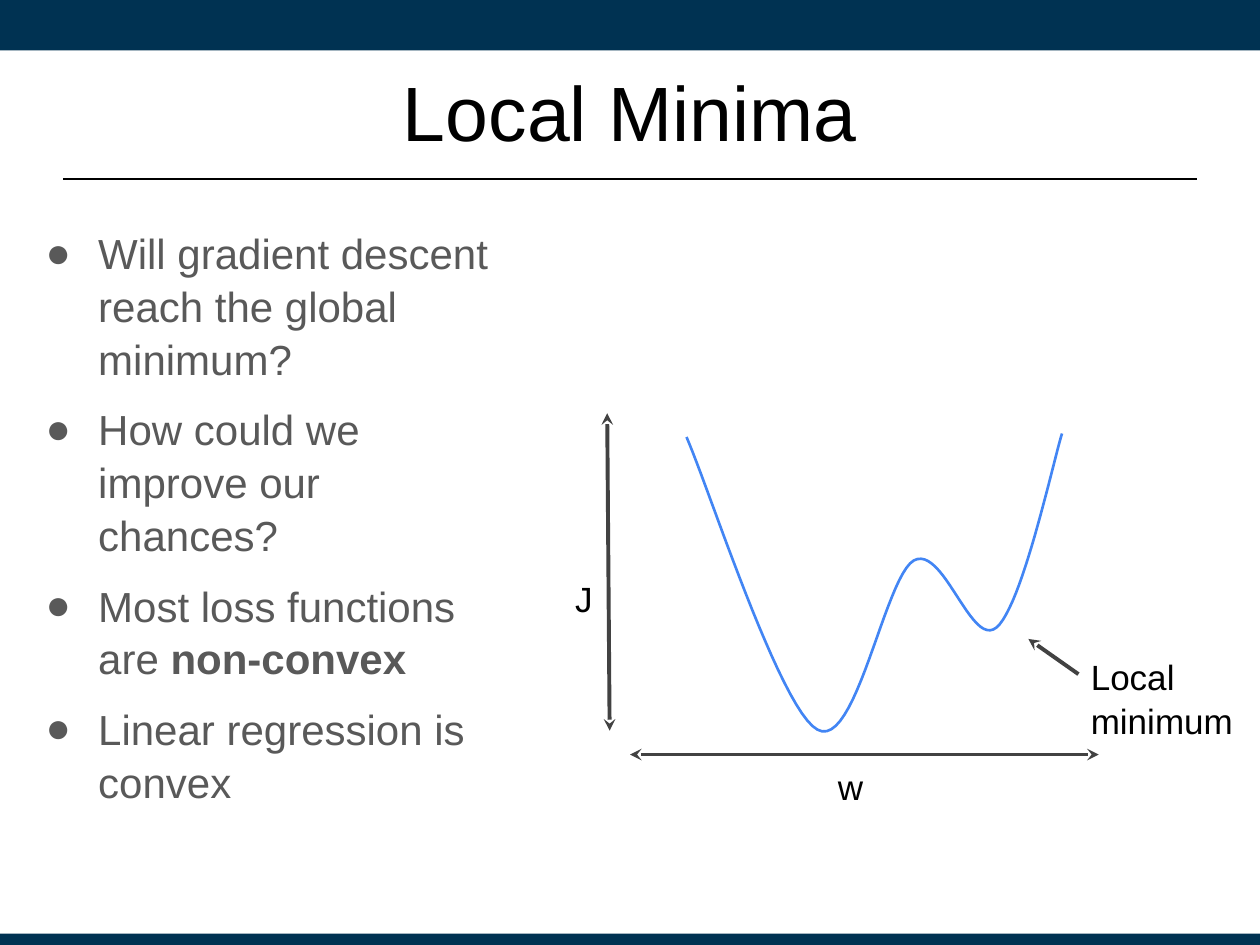
import pptx
import pptx.dml.color
import pptx.enum.shapes
import pptx.enum.text
import pptx.oxml
import pptx.oxml.ns
import pptx.util
from pptx.util import Cm

RGB = pptx.dml.color.RGBColor
ALIGN = pptx.enum.text.PP_ALIGN
ANCHOR = pptx.enum.text.MSO_ANCHOR
NAVY = RGB(0x00, 0x32, 0x52)
BLACK = RGB(0, 0, 0)
GRAY = RGB(0x59, 0x59, 0x59)
DARK = RGB(0x42, 0x42, 0x42)
BLUE = RGB(0x42, 0x85, 0xF4)
WIDE, HIGH = 25.4, 19.05
PAD = 0.25

POINTS = [
    "Will gradient descent reach the global minimum?",
    "How could we improve our chances?",
    "Most loss functions are *non-convex",
    "Linear regression is convex",
]
# Loss curve: start point, then two controls and an end for each Bezier piece
START = (2.87, 0.48)
CURVE = [
    ((3.3, 1.45), (4.75, 5.97), (5.51, 6.38)),
    ((6.28, 6.81), (6.86, 3.33), (7.45, 2.97)),
    ((8.05, 2.64), (8.61, 4.75), (9.12, 4.32)),
    ((9.63, 3.89), (10.24, 1.07), (10.44, 0.41)),
]
STEPS = 24


def add_xml(parent, tag, **attrs):
    node = pptx.oxml.parse_xml(f"<a:{tag} {pptx.oxml.ns.nsdecls('a')}/>")
    for key, value in attrs.items():
        node.set(key, value)
    parent.append(node)
    return node


def set_font(para, size, color):
    para.font.name = "Arial"
    para.font.size = pptx.util.Pt(size)
    para.font.color.rgb = color


def set_frame(frame, pad=PAD, anchor=ANCHOR.TOP):
    frame.word_wrap = True
    frame.auto_size = pptx.enum.text.MSO_AUTO_SIZE.NONE
    frame.vertical_anchor = anchor
    frame.margin_left = frame.margin_right = Cm(PAD)
    frame.margin_top = frame.margin_bottom = Cm(pad)


def place(shape, left, top, width, height):
    shape.left, shape.top = Cm(left), Cm(top)
    shape.width, shape.height = Cm(width), Cm(height)


def add_bar(slide, top, height):
    bar = slide.shapes.add_shape(pptx.enum.shapes.MSO_SHAPE.RECTANGLE,
                                 0, Cm(top), Cm(WIDE), Cm(height))
    bar.shadow.inherit = False
    bar.fill.solid()
    bar.fill.fore_color.rgb = NAVY
    bar.line.fill.background()


def add_line(slide, x1, y1, x2, y2, color, weight, ends=()):
    line = slide.shapes.add_connector(pptx.enum.shapes.MSO_CONNECTOR.STRAIGHT,
                                      Cm(x1), Cm(y1), Cm(x2), Cm(y2))
    line.line.color.rgb = color
    line.line.width = pptx.util.Pt(weight)
    for end in ends:
        add_xml(line.line._get_or_add_ln(), end, type="stealth")
    add_xml(line._element.spPr, "effectLst")


def add_label(slide, text, left, top, width, height, align):
    box = slide.shapes.add_textbox(Cm(left), Cm(top), Cm(width), Cm(height))
    set_frame(box.text_frame)
    para = box.text_frame.paragraphs[0]
    para.text = text
    para.alignment = align
    para.line_spacing = 1.05
    set_font(para, 20, BLACK)


def add_title(slide, left, top, width, height):
    title = slide.shapes.title
    place(title, left, top, width, height)
    set_frame(title.text_frame, 0.13, ANCHOR.MIDDLE)
    para = title.text_frame.paragraphs[0]
    para.text = "Local Minima"
    para.alignment = ALIGN.CENTER
    set_font(para, 44, BLACK)
    # Rule under the title
    rule = top + 2.97
    add_line(slide, left, rule, left + width, rule, BLACK, 1.25)


def add_list(slide, left, top, width, height):
    body = slide.placeholders[1]
    place(body, left, top, width, height)
    frame = body.text_frame
    set_frame(frame)
    for i, text in enumerate(POINTS):
        para = frame.add_paragraph() if i else frame.paragraphs[0]
        # Text after the star is bold
        for j, part in enumerate(text.split("*")):
            run = para.add_run()
            run.text = part
            if j:
                run.font.bold = True
        props = para._p.get_or_add_pPr()
        props.set("marL", str(Cm(1.27)))
        props.set("indent", str(Cm(-1.06)))
        add_xml(add_xml(props, "buClr"), "srgbClr", val=str(GRAY))
        add_xml(props, "buFont", typeface="Arial")
        add_xml(props, "buChar", char="●")
        para.line_spacing = 1.05
        para.space_before = pptx.util.Pt(10 if i else 0)
        para.space_after = pptx.util.Pt(0)
        set_font(para, 24, GRAY)


def bezier(a, b, c, d, t):
    u = 1 - t
    return tuple(u**3 * p + 3 * u * u * t * q + 3 * u * t * t * r + t**3 * s
                 for p, q, r, s in zip(a, b, c, d))


def add_plot(slide, left, top):
    # Axes
    both = ("headEnd", "tailEnd")
    add_line(slide, left + 1.32, top + 6.4, left + 1.27, top, DARK, 2.25, both)
    base = top + 6.88
    add_line(slide, left + 1.73, base, left + 11.18, base, DARK, 2.25, both)
    add_label(slide, "w", left + 3, top + 6.81, 6.35, 0.79, ALIGN.CENTER)
    add_label(slide, "J", left, top + 3.02, 1.6, 0.79, ALIGN.CENTER)

    # Loss curve
    dots, last = [START], START
    for one, two, end in CURVE:
        dots += [bezier(last, one, two, end, k / STEPS)
                 for k in range(1, STEPS + 1)]
        last = end
    dots = [(Cm(left + x), Cm(top + y)) for x, y in dots]
    path = slide.shapes.build_freeform(*dots[0])
    path.add_line_segments(dots[1:], close=False)
    curve = path.convert_to_shape()
    curve.shadow.inherit = False
    curve.fill.background()
    curve.line.color.rgb = BLUE
    curve.line.width = pptx.util.Pt(1.5)

    # Pointer to the local minimum
    add_label(slide, "Local minimum", left + 10.77, top + 4.6, 3.43, 1.35,
              ALIGN.LEFT)
    add_line(slide, left + 9.76, top + 4.55, left + 10.77, top + 5.26,
             DARK, 2.25, ("headEnd",))


def main():
    deck = pptx.Presentation()
    deck.slide_width, deck.slide_height = Cm(WIDE), Cm(HIGH)
    slide = deck.slides.add_slide(deck.slide_layouts[1])
    add_bar(slide, 0, 1.02)
    add_bar(slide, 18.82, HIGH - 18.82)
    add_title(slide, 1.27, 0.64, 22.86, 3.18)
    add_list(slide, 0.46, 4.29, 9.83, 13.54)
    add_plot(slide, 10.97, 8.33)
    deck.save("out.pptx")


if __name__ == "__main__":
    main()
